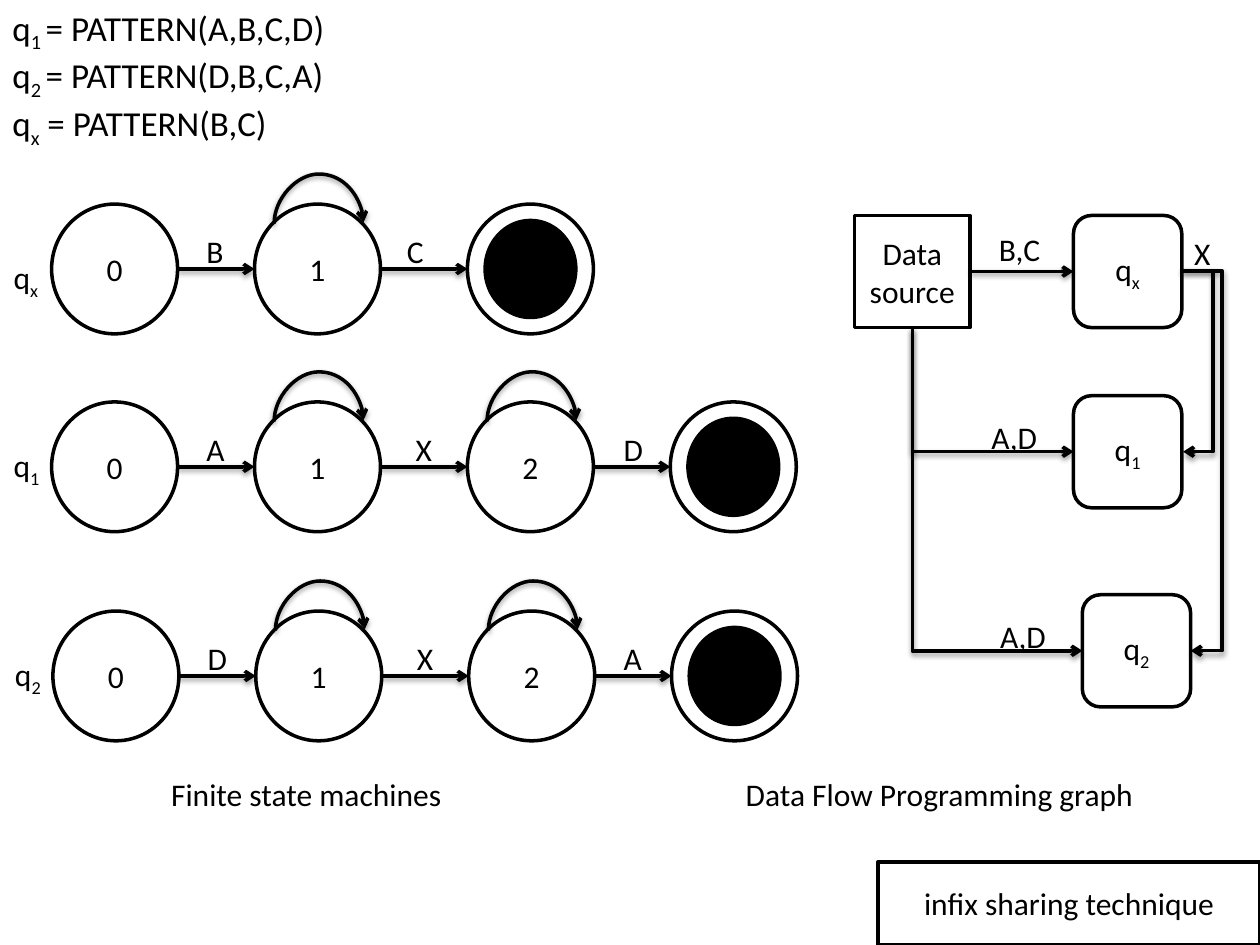
from lxml.etree import SubElement
from pptx import Presentation
from pptx.dml.color import RGBColor
from pptx.enum.shapes import MSO_CONNECTOR, MSO_SHAPE
from pptx.enum.text import MSO_ANCHOR, MSO_AUTO_SIZE, PP_ALIGN
from pptx.oxml.ns import qn
from pptx.util import Inches, Pt

BLACK, WHITE = "000000", "FFFFFF"
STATE_W, STATE_H = 1, 1.03
STATE_OFFSETS = (0, 1.61, 3.3, 4.91)


def color(value):
    return RGBColor.from_string(value)


def query(sub):
    return [("q", False), (sub, True)]


def add_runs(paragraph, runs, size):
    for text, is_sub in runs:
        run = paragraph.add_run()
        run.text = text
        run.font.size = Pt(size)
        run.font.name = "Calibri"
        run.font.color.rgb = color(BLACK)
        if is_sub:
            run._r.get_or_add_rPr().set("baseline", "-25000")


def add_text(slide, box, lines, size=18, wrap=False):
    frame = slide.shapes.add_textbox(*map(Inches, box)).text_frame
    frame.word_wrap = wrap
    frame.auto_size = MSO_AUTO_SIZE.SHAPE_TO_FIT_TEXT
    for index, runs in enumerate(lines):
        paragraph = frame.add_paragraph() if index else frame.paragraphs[0]
        add_runs(paragraph, runs, size)


def add_label(slide, left, top, width, text):
    add_text(slide, (left, top, width, 0.41), [[(text, False)]])


def add_node(slide, kind, box, runs=(), fill=WHITE):
    node = slide.shapes.add_shape(kind, *map(Inches, box))
    node.shadow.inherit = False
    node.fill.solid()
    node.fill.fore_color.rgb = color(fill)
    node.line.color.rgb = color(BLACK)
    node.line.width = Pt(2)
    node.text_frame.vertical_anchor = MSO_ANCHOR.MIDDLE
    paragraph = node.text_frame.paragraphs[0]
    paragraph.alignment = PP_ALIGN.CENTER
    add_runs(paragraph, runs, 18)
    return node


def add_arrow(slide, kind, start, end):
    arrow = slide.shapes.add_connector(kind, *map(Inches, (*start, *end)))
    arrow.line.color.rgb = color(BLACK)
    arrow.line.width = Pt(2)
    SubElement(arrow.line._get_or_add_ln(), qn("a:tailEnd"), type="arrow")
    effects = SubElement(arrow._element.spPr, qn("a:effectLst"))
    shadow = SubElement(effects, qn("a:outerShdw"), blurRad=str(Pt(3.1)),
                        dist=str(Pt(1.6)), dir="5400000", rotWithShape="0")
    tint = SubElement(shadow, qn("a:srgbClr"), val=BLACK)
    SubElement(tint, qn("a:alpha"), val="38000")
    return arrow


def set_bend(arrow, ratio):
    bends = arrow._element.spPr.find(qn("a:prstGeom")).find(qn("a:avLst"))
    SubElement(bends, qn("a:gd"), name="adj1", fmla=f"val {round(ratio * 100000)}")


def set_rotation(arrow, degrees):
    arrow._element.spPr.find(qn("a:xfrm")).set("rot", str(degrees * 60000))


def add_loop(slide, state_left, state_top):
    rise, span, reach = 0.01, 0.71, 0.4
    center_x, center_y = state_left + 0.51, state_top + 0.15
    loop = add_arrow(slide, MSO_CONNECTOR.CURVE,
                     (center_x + rise / 2, center_y + span / 2),
                     (center_x - rise / 2, center_y - span / 2))
    set_rotation(loop, 90)
    set_bend(loop, reach / rise)


def add_source_branch(slide, start, end):
    across, down = end[0] - start[0], end[1] - start[1]
    center_x, center_y = start[0] + across / 2, start[1] + down / 2
    branch = add_arrow(slide, MSO_CONNECTOR.ELBOW,
                       (center_x + down / 2, center_y - across / 2),
                       (center_x - down / 2, center_y + across / 2))
    branch._element.spPr.find(qn("a:prstGeom")).set("prst", "bentConnector2")
    set_rotation(branch, 270)


def add_shared_branch(slide, start, end, reach):
    branch = add_arrow(slide, MSO_CONNECTOR.ELBOW, start, end)
    set_bend(branch, reach / (end[0] - start[0]))


def add_machine(slide, sub, left, top, name_top, edges):
    lefts = [left + offset for offset in STATE_OFFSETS[:len(edges) + 1]]
    middle = top + STATE_H / 2
    add_text(slide, (left - 0.4, name_top, 0.42, 0.41), [query(sub)])
    for number, state_left in enumerate(lefts[:-1]):
        add_node(slide, MSO_SHAPE.OVAL, (state_left, top, STATE_W, STATE_H),
                 [(str(number), False)])
        if number:
            add_loop(slide, state_left, top)
    final = lefts[-1]
    add_node(slide, MSO_SHAPE.OVAL, (final, top, STATE_W, STATE_H))
    add_node(slide, MSO_SHAPE.OVAL, (final + 0.14, top + 0.13, 0.72, 0.77), fill=BLACK)
    for (event, event_left), origin, target in zip(edges, lefts, lefts[1:]):
        add_arrow(slide, MSO_CONNECTOR.STRAIGHT, (origin + STATE_W, middle), (target, middle))
        add_label(slide, event_left, top + 0.17, 0.35, event)


def add_flow_graph(slide):
    query_w, node_h = 0.86, 0.89
    source = add_node(slide, MSO_SHAPE.RECTANGLE, (6.78, 1.71, 0.92, node_h),
                      [("Data source", False)])
    source_bottom = (7.24, 2.6)
    shared = add_node(slide, MSO_SHAPE.ROUNDED_RECTANGLE,
                      (8.52, 1.71, query_w, node_h), query("x"))
    shared_right = (8.52 + query_w, 2.15)
    feed = add_arrow(slide, MSO_CONNECTOR.STRAIGHT, (7.7, 2.15), (8.52, 2.15))
    feed.begin_connect(source, 3)
    feed.end_connect(shared, 1)
    add_label(slide, 7.83, 1.78, 0.53, "B,C")
    add_label(slide, 9.38, 1.81, 0.33, "X")

    for sub, left, top, label_top, entry, reach in (
            ("1", 8.52, 3.14, 3.27, 9.39, 0.25),
            ("2", 8.59, 4.72, 4.85, 9.45, 0.32)):
        middle = top + node_h / 2
        add_node(slide, MSO_SHAPE.ROUNDED_RECTANGLE, (left, top, query_w, node_h), query(sub))
        add_label(slide, left - 0.75, label_top, 0.57, "A,D")
        add_source_branch(slide, source_bottom, (left, middle))
        add_shared_branch(slide, shared_right, (entry, middle), reach)


def main():
    deck = Presentation()
    deck.slide_width, deck.slide_height = Inches(10), Inches(7.5)
    slide = deck.slides.add_slide(deck.slide_layouts[6])

    patterns = (("1 ", "= PATTERN(A,B,C,D)"), ("2 ", "= PATTERN(D,B,C,A)"),
                ("x", " = PATTERN(B,C)"))
    add_text(slide, (0, 0, 2.74, 1.14),
             [query(sub) + [(pattern, False)] for sub, pattern in patterns], size=20)

    add_machine(slide, "x", 0.41, 1.62, 2, [("B", 1.54), ("C", 3.13)])
    add_machine(slide, "1", 0.41, 3.19, 3.49, [("A", 1.54), ("X", 3.2), ("D", 4.85)])
    add_machine(slide, "2", 0.42, 4.85, 5.15, [("D", 1.55), ("X", 3.21), ("A", 4.85)])
    add_flow_graph(slide)

    for left, width, caption in ((1.26, 2.54, "Finite state machines"),
                                 (5.82, 3.39, "Data Flow Programming graph")):
        add_text(slide, (left, 6.1, width, 0.41), [[(caption, False)]], wrap=True)
    add_node(slide, MSO_SHAPE.RECTANGLE, (6.97, 6.84, 3.03, 0.66),
             [("infix sharing technique", False)])
    deck.save("out.pptx")


if __name__ == "__main__":
    main()
